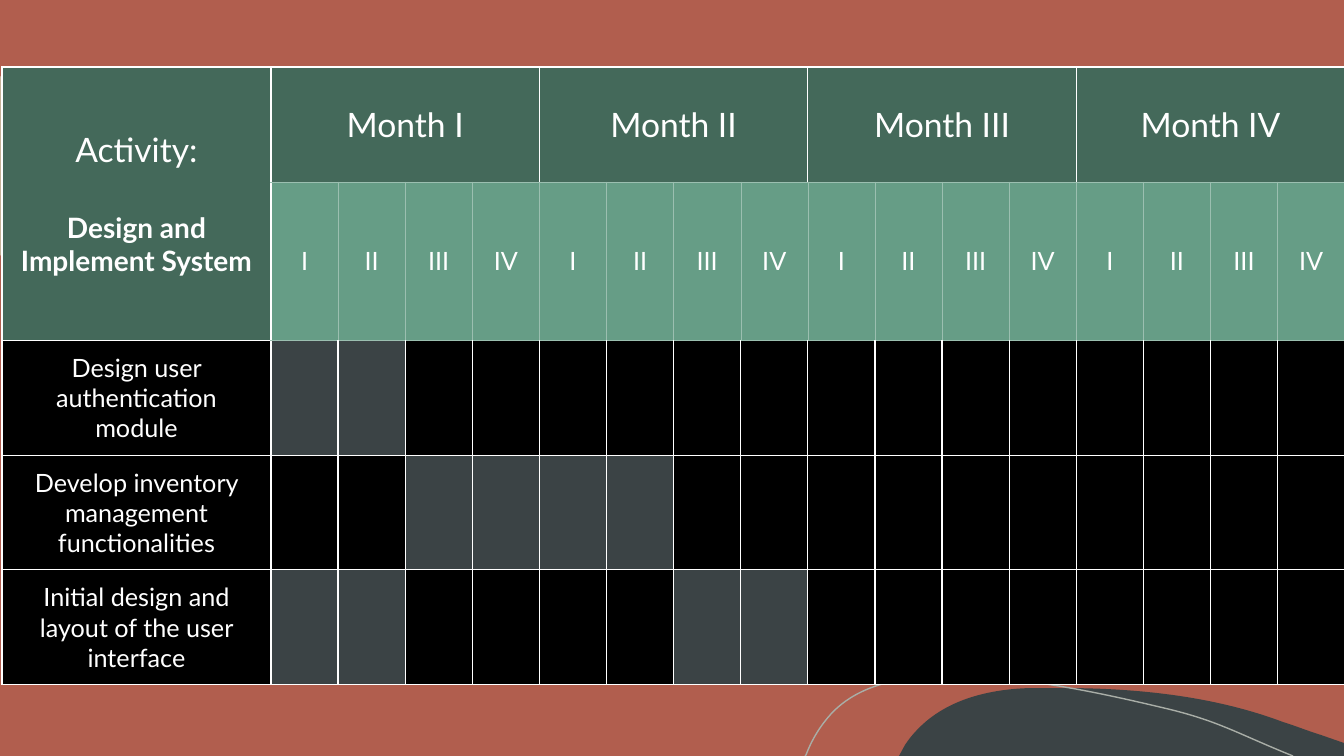
"""Build a four-month Gantt table slide for designing and implementing a system."""
from lxml import etree
from pptx import Presentation, util as u
from pptx.dml.color import RGBColor
from pptx.enum import text
from pptx.oxml import ns

PX = 914400 / 100.8
WHITE, BLACK, SLATE = "FFFFFF", "000000", "3B4345"
PINE, SAGE, MIST = "44695A", "669D86", "9BBFB0"


def color(value):
    return RGBColor.from_string(value)


def write(cell, content, size, bold=False, gap=0):
    frame = cell.text_frame
    para = frame.add_paragraph() if frame.text else frame.paragraphs[0]
    para.alignment = text.PP_ALIGN.CENTER
    para.space_before = u.Pt(gap)
    span = para.add_run()
    span.text = content
    span.font.name = "Lato"
    span.font.size = u.Pt(size)
    span.font.bold = bold
    span.font.color.rgb = color(WHITE)


deck = Presentation()
deck.slide_width, deck.slide_height = round(1344 * PX), round(756 * PX)
page = deck.slides.add_slide(deck.slide_layouts[6])
page.background.fill.solid()
page.background.fill.fore_color.rgb = color("B15E4E")

outlines = [
    (SLATE, None, [(1062, 688), (1137, 688, 1214, 696, 1283, 722),
                   (1296, 726, 1308, 731, 1321, 735), (1344, 743), (1344, 756),
                   (899, 756), (905, 745), (909, 739, 913, 734, 918, 729),
                   (947, 699, 990, 689, 1031, 688), (1041, 688, 1052, 688, 1062, 688)]),
    ("C5B096", None, [(0, 76), (1, 77), (30, 103, 54, 134, 48, 171),
                      (46, 188, 37, 205, 27, 220), (24, 226, 17, 235, 8, 246), (0, 256)]),
    (None, "A9AEA7", [(805, 756), (806, 755), (812, 739, 821, 725, 831, 714),
                      (857, 686, 896, 678, 933, 677), (963, 677),
                      (1030, 677, 1109, 695, 1164, 708),
                      (1219, 721, 1236, 733, 1293, 756)]),
]
for fill, line, steps in outlines:
    anchors = [step[-2:] for step in steps]
    builder = page.shapes.build_freeform(*anchors[0], scale=PX)
    builder.add_line_segments(anchors[1:], close=False)
    shape = builder.convert_to_shape()
    shape.shadow.inherit = False
    left = min(x for x, y in anchors)
    top = min(y for x, y in anchors)
    outline = next(shape.element.iter(ns.qn("a:path")))
    outline.set("w", str(shape.width))
    outline.set("h", str(shape.height))
    for segment in list(outline):
        outline.remove(segment)
    for index, step in enumerate(steps):
        kind = "moveTo" if index == 0 else "lnTo" if len(step) == 2 else "cubicBezTo"
        segment = etree.SubElement(outline, ns.qn(f"a:{kind}"))
        for x, y in zip(step[::2], step[1::2]):
            etree.SubElement(segment, ns.qn("a:pt"), x=str(round((x - left) * PX)),
                             y=str(round((y - top) * PX)))
    if fill:
        etree.SubElement(outline, ns.qn("a:close"))
        shape.fill.solid()
        shape.fill.fore_color.rgb = color(fill)
        shape.line.fill.background()
    else:
        shape.fill.background()
        shape.line.color.rgb = color(line)
        shape.line.width = u.Pt(1)

numerals = ["I", "II", "III", "IV"]
tasks = [
    ("Design user authentication module", {1, 2}),
    ("Develop inventory management functionalities", {3, 4, 5, 6}),
    ("Initial design and layout of the user interface", {1, 2, 7, 8}),
]
box = page.shapes.add_table(5, 17, round(2 * PX), round(67 * PX),
                            round(1343 * PX), round(574 * PX))
table = box.table
table.first_row = table.horz_banding = False
for c, column in enumerate(table.columns):
    column.width = round(1074 / 16 * PX) if c else round(269 * PX)
for row in table.rows:
    row.height = round(574 / 5 * PX)

for r in range(5):
    for c in range(17):
        cell = table.cell(r, c)
        cell.vertical_anchor = text.MSO_ANCHOR.MIDDLE
        if r == 0 or (r == 1 and c == 0):
            fill = PINE
        elif r == 1:
            fill = SAGE
        else:
            fill = SLATE if c in tasks[r - 2][1] else BLACK
        cell.fill.solid()
        cell.fill.fore_color.rgb = color(fill)

        borders = dict.fromkeys(["lnL", "lnR", "lnT", "lnB"], (WHITE, 1))
        under_weeks = (MIST, 0.25 if c < 3 else 0.5)
        if c and r == 0:
            borders["lnB"] = (MIST, 0.25)
        elif c and r == 1:
            borders = dict.fromkeys(borders, (MIST, 0.25))
            borders["lnB"] = under_weeks
        elif c and r == 2:
            borders["lnT"] = under_weeks
        properties = cell._tc.get_or_add_tcPr()
        for place, (side, (stroke, width)) in enumerate(borders.items()):
            edge = etree.Element(ns.qn(f"a:{side}"), w=str(u.Pt(width)))
            solid = etree.SubElement(edge, ns.qn("a:solidFill"))
            etree.SubElement(solid, ns.qn("a:srgbClr"), val=stroke)
            properties.insert(place, edge)

activity = table.cell(0, 0)
activity.merge(table.cell(1, 0))
write(activity, "Activity:", 24)
write(activity, "Design and Implement System", 20, bold=True, gap=29)
for index, numeral in enumerate(numerals):
    first = 1 + 4 * index
    month = table.cell(0, first)
    month.merge(table.cell(0, first + 3))
    write(month, f"Month {numeral}", 24)
    for offset, week in enumerate(numerals):
        write(table.cell(1, first + offset), week, 18)
for r, (task, weeks) in enumerate(tasks, start=2):
    write(table.cell(r, 0), task, 18)

deck.save("out.pptx")
